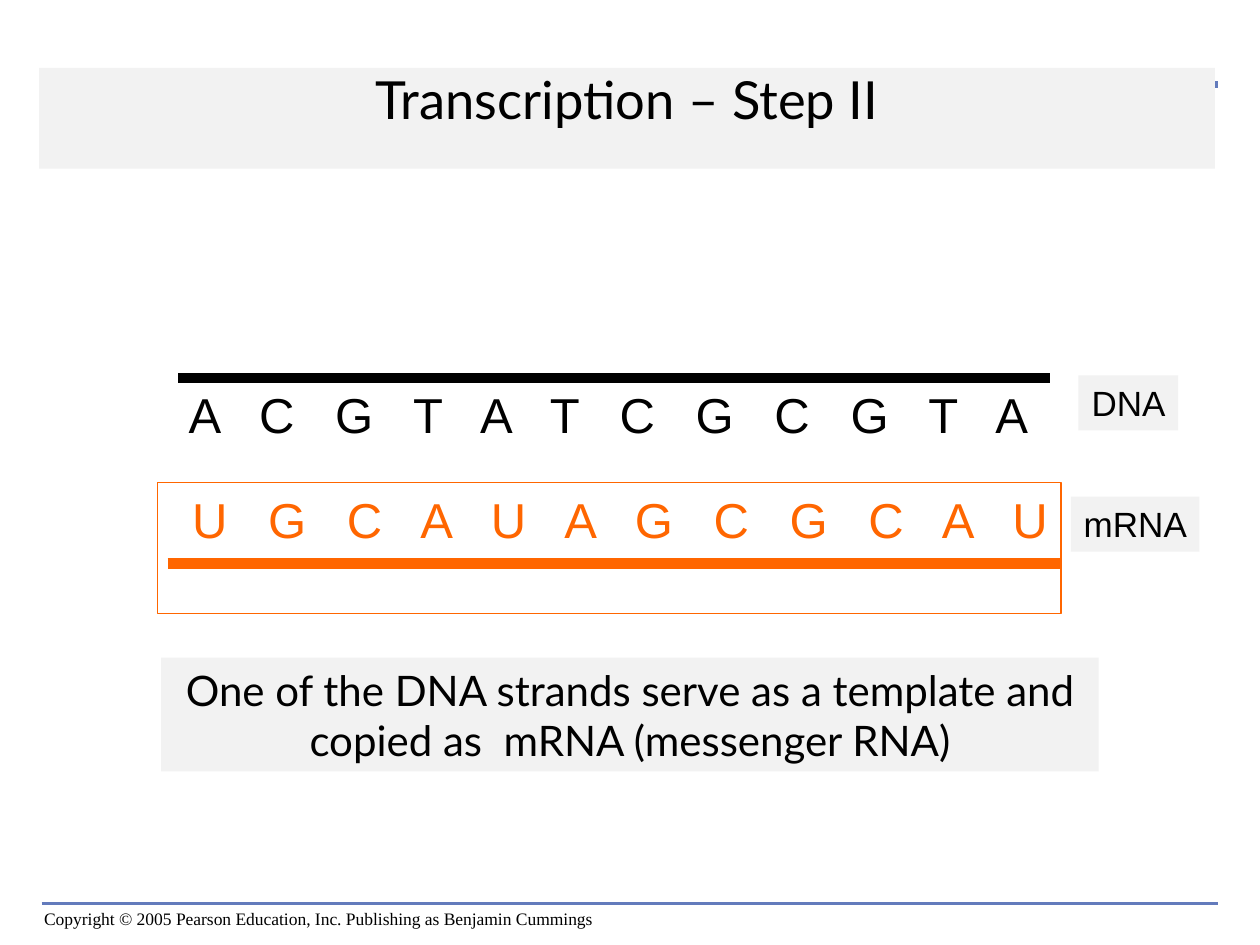
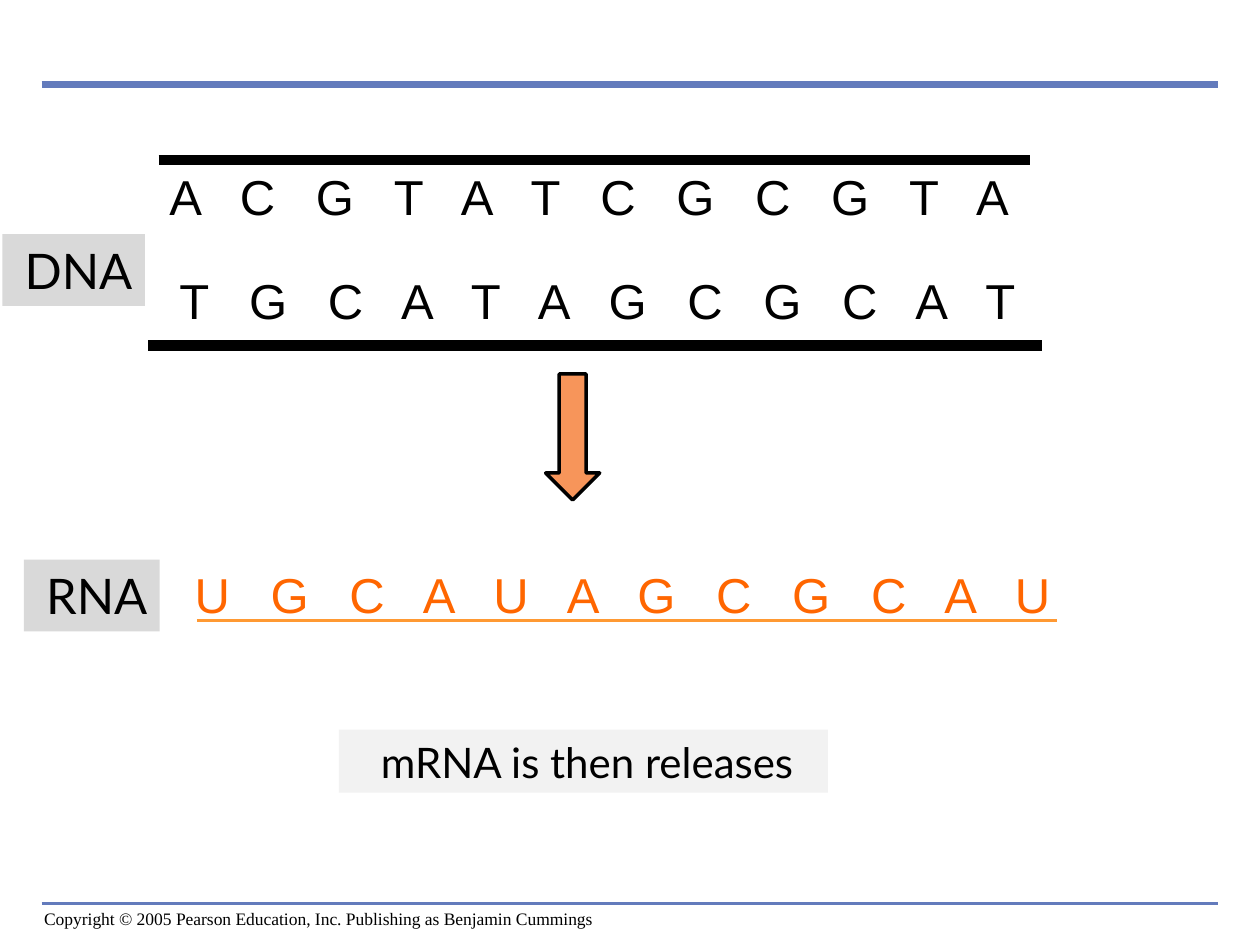
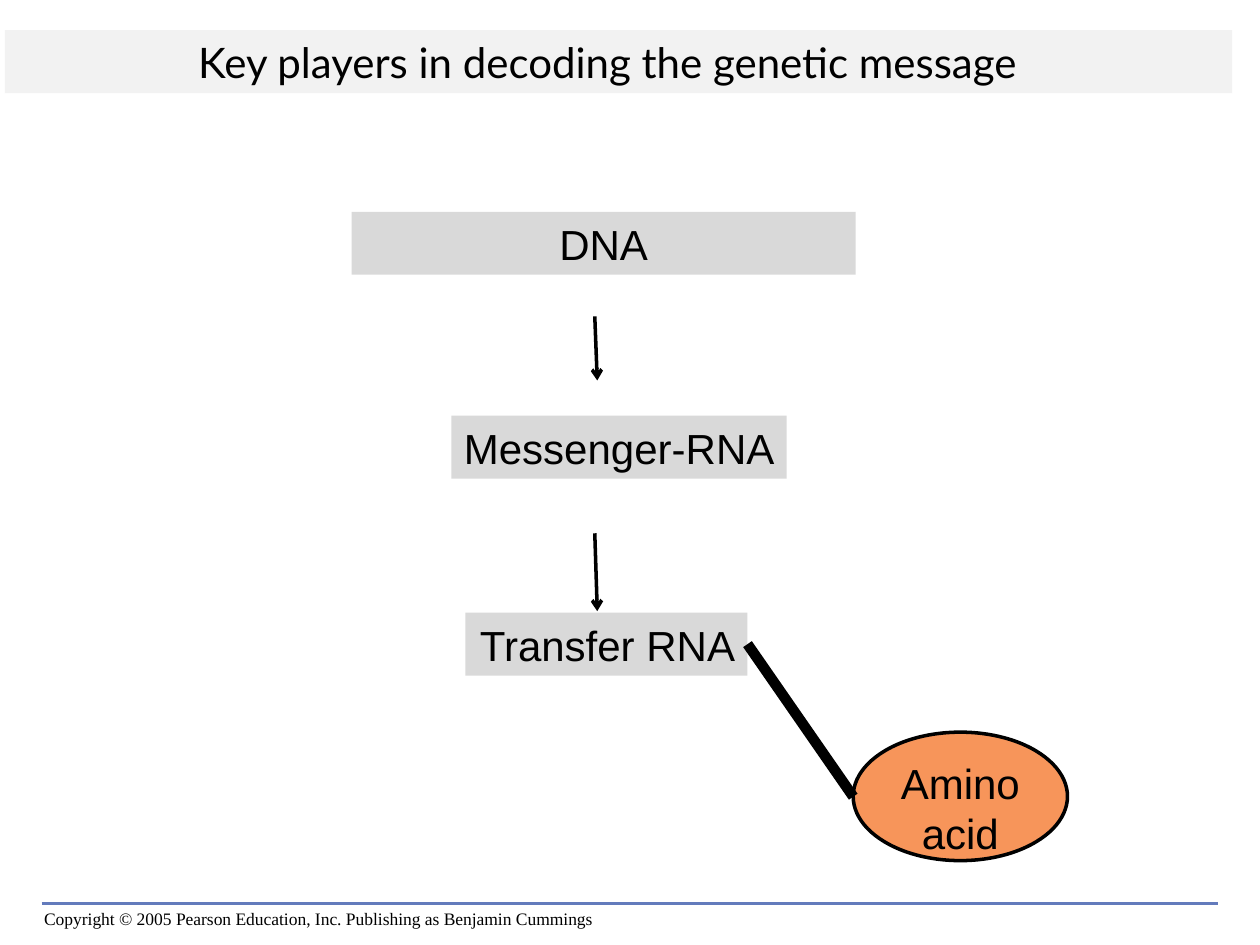
import pptx
import pptx.dml.color
import pptx.enum.shapes
import pptx.enum.text
import pptx.oxml.ns
import pptx.util
from lxml import etree

Cm = pptx.util.Cm
Pt = pptx.util.Pt
RGBColor = pptx.dml.color.RGBColor
SHAPE = pptx.enum.shapes.MSO_SHAPE
ALIGN = pptx.enum.text.PP_ALIGN
qn = pptx.oxml.ns.qn

BLACK = RGBColor(0x00, 0x00, 0x00)
WHITE = RGBColor(0xFF, 0xFF, 0xFF)
RULE_BLUE = RGBColor(0x63, 0x7B, 0xBC)
PALE_GREY = RGBColor(0xF2, 0xF2, 0xF2)
MID_GREY = RGBColor(0xD9, 0xD9, 0xD9)
RNA_ORANGE = RGBColor(0xFF, 0x66, 0x00)
RAIL_ORANGE = RGBColor(0xFF, 0x99, 0x33)
PEACH = RGBColor(0xF7, 0x95, 0x5A)

SANS, TITLE_FONT, SERIF = "Arial", "Lato", "Times New Roman"

SENSE = "ACGTATCGCGTA"
ANTISENSE = "TGCATAGCGCAT"
MESSENGER = "UGCAUAGCGCAU"
BASE_SPACING = 778  # hundredths of a point: the width of one 28 pt space

# Rails run from x1 to x2 at height y within a strand's box
UPPER_RAIL = dict(x1=0.41, x2=17.98, y=0)
LOWER_RAIL = dict(x1=0.2, x2=18.21, y=1.63)
RELEASED_RAIL = dict(x1=0.74, x2=18.08, y=1.26)


def style_shape(sp, fill=None, line=None, line_width=2):
    if fill is None:
        sp.fill.background()
    else:
        sp.fill.solid()
        sp.fill.fore_color.rgb = fill
    if line is None:
        sp.line.fill.background()
    else:
        sp.line.color.rgb = line
        sp.line.width = Pt(line_width)
    sp.shadow.inherit = False


def add_text(s, text, left, top, width, height, *, size=24, font=SANS, color=BLACK,
             align=ALIGN.CENTER, anchor=pptx.enum.text.MSO_ANCHOR.TOP, wrap=True,
             kind=None, right_inset=0.25, line_spacing=None, letter_spacing=None, **look):
    """Add text in a text box, or in a preset shape when kind is given."""
    place = [Cm(v) for v in (left, top, width, height)]
    sp = s.shapes.add_shape(kind, *place) if kind else s.shapes.add_textbox(*place)
    style_shape(sp, **look)
    tf = sp.text_frame
    tf.word_wrap = wrap
    tf.vertical_anchor = anchor
    tf.margin_left, tf.margin_right = Cm(0.25), Cm(right_inset)
    tf.margin_top = tf.margin_bottom = Cm(0.13)
    p = tf.paragraphs[0]
    p.alignment = align
    if line_spacing:
        p.line_spacing = line_spacing
    r = p.add_run()
    r.text = text
    r.font.size, r.font.name = Pt(size), font
    r.font.color.rgb = color
    if letter_spacing:
        r.font._element.set("spc", str(letter_spacing))
    return sp


def add_line(s, x1, y1, x2, y2, color=BLACK, width=2, arrow=False):
    ln = s.shapes.add_connector(pptx.enum.shapes.MSO_CONNECTOR.STRAIGHT,
                                Cm(x1), Cm(y1), Cm(x2), Cm(y2))
    ln.line.color.rgb = color
    ln.line.width = Pt(width)
    if arrow:
        etree.SubElement(ln.line._get_or_add_ln(), qn("a:tailEnd"), type="arrow")
    etree.SubElement(ln._element.spPr, qn("a:effectLst"))
    return ln


def add_label(s, text, left, top, width, height, **style):
    """Add a one-line grey label, set flush right."""
    style = {"fill": MID_GREY, "align": ALIGN.RIGHT, "wrap": False, **style}
    return add_text(s, text, left, top, width, height, kind=SHAPE.RECTANGLE, **style)


def add_strand(s, bases, left, top, rail, color=BLACK, rail_color=None, rail_width=6,
               width=18.21, **style):
    """Add a row of spaced bases with its backbone rail."""
    add_text(s, " ".join(bases), left, top, width, 2.64, size=28, color=color,
             align=ALIGN.RIGHT, letter_spacing=BASE_SPACING, **style)
    y = top + rail["y"]
    add_line(s, left + rail["x1"], y, left + rail["x2"], y, rail_color or color, rail_width)


def add_slide(prs, top_rule=True):
    s = prs.slides.add_slide(prs.slide_layouts[6])
    s.background.fill.solid()
    s.background.fill.fore_color.rgb = WHITE
    add_text(s, "Copyright © 2005 Pearson Education, Inc. Publishing as Benjamin Cummings",
             0.64, 18.16, 11.79, 0.69, size=10, font=SERIF, align=ALIGN.LEFT,
             anchor=pptx.enum.text.MSO_ANCHOR.BOTTOM, wrap=False)
    add_line(s, 0.84, 18.21, 24.56, 18.21, RULE_BLUE)
    if top_rule:
        add_line(s, 0.84, 1.7, 24.56, 1.7, RULE_BLUE, 4)
    return s


def transcription_slide(prs):
    s = add_slide(prs)
    add_text(s, "Transcription – Step II", 0.79, 1.37, 23.7, 2.03, size=30,
             font=TITLE_FONT, line_spacing=0.9, kind=SHAPE.RECTANGLE, fill=PALE_GREY)
    add_strand(s, SENSE, 3.18, 7.62, UPPER_RAIL, width=17.81)
    add_strand(s, MESSENGER, 3.18, 9.73, LOWER_RAIL, RNA_ORANGE,
               kind=SHAPE.RECTANGLE, line=RNA_ORANGE, line_width=0.75)
    add_text(s, "One of the DNA strands serve as a template and copied as  mRNA (messenger RNA)",
             3.25, 13.26, 18.9, 2.29, font=TITLE_FONT, kind=SHAPE.RECTANGLE, fill=PALE_GREY)
    add_label(s, "mRNA", 21.59, 10.01, 2.59, 1.11, size=20, fill=PALE_GREY)
    add_label(s, "DNA", 21.74, 7.57, 2.01, 1.11, size=20, fill=PALE_GREY)


def release_slide(prs):
    s = add_slide(prs)
    add_strand(s, SENSE, 2.79, 3.23, UPPER_RAIL, width=17.81)
    add_strand(s, ANTISENSE, 2.79, 5.33, LOWER_RAIL, right_inset=0.52)
    add_strand(s, MESSENGER, 3.23, 11.25, RELEASED_RAIL, RNA_ORANGE, RAIL_ORANGE, 2)
    arrow = s.shapes.add_shape(SHAPE.DOWN_ARROW, Cm(11), Cm(7.54), Cm(1.09), Cm(2.54))
    style_shape(arrow, PEACH, BLACK)
    add_label(s, "DNA", 0.05, 4.72, 2.87, 1.45, size=28, font=TITLE_FONT)
    add_label(s, "RNA", 0.48, 11.28, 2.74, 1.45, size=28, font=TITLE_FONT)
    add_label(s, "mRNA is then releases", 6.83, 14.71, 9.86, 1.27, font=TITLE_FONT,
              fill=PALE_GREY, right_inset=0.7)


def add_decoding_chain(s, left, top):
    add_label(s, "DNA", left, top, 10.16, 1.27, align=ALIGN.CENTER)
    add_label(s, "Messenger-RNA", left + 2.01, top + 4.11, 6.76, 1.27)
    transfer = add_label(s, "Transfer RNA", left + 2.29, top + 8.08, 5.69, 1.27)
    add_text(s, "Amino acid", left + 10.11, top + 10.49, 4.32, 2.59,
             kind=SHAPE.OVAL, fill=PEACH, line=BLACK)
    bond = add_line(s, left + 7.98, top + 8.71, left + 10.11, top + 11.79, width=6)
    bond.begin_connect(transfer, 3)
    for y1, y2 in ((2.11, 3.4), (6.48, 8.05)):
        add_line(s, left + 4.9, top + y1, left + 4.95, top + y2, arrow=True)


def key_players_slide(prs):
    s = add_slide(prs, top_rule=False)
    add_decoding_chain(s, 7.09, 4.27)
    add_text(s, "Key players in decoding the genetic message", 0.1, 0.61, 24.74, 1.27,
             font=TITLE_FONT, kind=SHAPE.RECTANGLE, fill=PALE_GREY, right_inset=0.7)


def main():
    prs = pptx.Presentation()
    prs.slide_width, prs.slide_height = Cm(25.4), Cm(19.05)
    transcription_slide(prs)
    release_slide(prs)
    key_players_slide(prs)
    prs.save("out.pptx")


if __name__ == "__main__":
    main()
